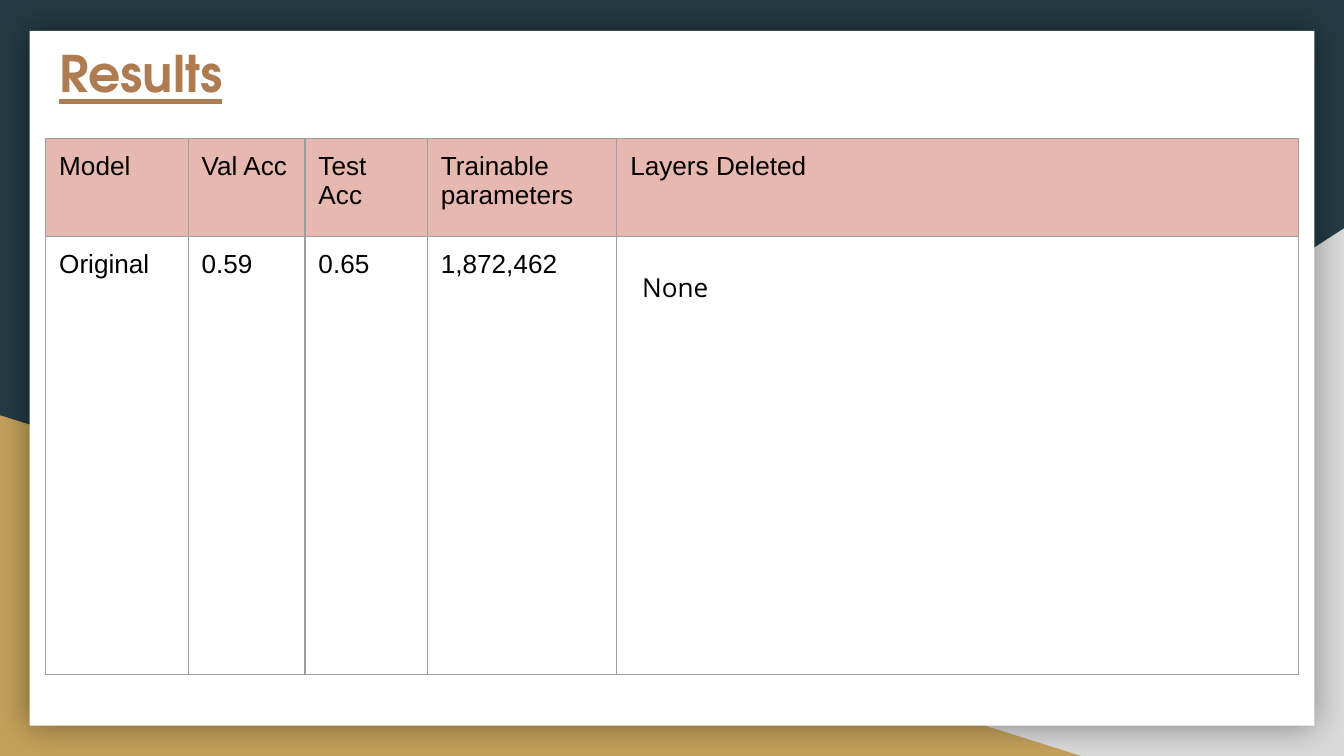
from lxml.etree import SubElement
from pptx import Presentation
from pptx.dml.color import RGBColor
from pptx.enum.shapes import MSO_SHAPE as Shape
from pptx.enum.text import MSO_ANCHOR as Anchor, MSO_AUTO_SIZE as AutoSize, PP_ALIGN as Align
from pptx.oxml.ns import qn
from pptx.util import Inches, Pt

WIDTH = 10
HEIGHT = WIDTH * 9 / 16
NAVY = RGBColor(0x23, 0x3A, 0x44)
GREY = RGBColor(0xD9, 0xD9, 0xD9)
GOLD = RGBColor(0xC4, 0xA1, 0x5A)
WHITE = RGBColor(0xFF, 0xFF, 0xFF)
BLACK = RGBColor(0, 0, 0)
BROWN = RGBColor(0xAF, 0x7B, 0x51)
PINK = RGBColor(0xE6, 0xB8, 0xAF)
BORDER = RGBColor(0x9E, 0x9E, 0x9E)

MARGIN = 0.34
INSET = Inches(0.1)
COLUMNS = [1.06, 0.87, 0.91, 1.41, 5.07]
ROWS = [0.73, 3.26]
RESULTS = [
    ["Model", "Val Acc", "Test Acc", "Trainable parameters", "Layers Deleted"],
    ["Original", "0.59", "0.65", "1,872,462", ""],
]


def add_panel(slide, kind, left, top, width, height, color):
    shape = slide.shapes.add_shape(
        kind, Inches(left), Inches(top), Inches(width), Inches(height))
    shape.shadow.inherit = False
    shape.fill.solid()
    shape.fill.fore_color.rgb = color
    shape.line.fill.background()
    return shape


def add_glow_shadow(shape, blur, opacity):
    effects = shape._element.spPr.find(qn("a:effectLst"))
    shadow = SubElement(effects, qn("a:outerShdw"), blurRad=str(Pt(blur)),
                        dist="0", dir="0", algn="ctr", rotWithShape="0")
    color = SubElement(shadow, qn("a:srgbClr"), val=str(BLACK))
    SubElement(color, qn("a:alpha"), val=str(opacity * 1000))


def format_frame(frame):
    frame.margin_left = frame.margin_right = INSET
    frame.margin_top = frame.margin_bottom = INSET
    frame.vertical_anchor = Anchor.TOP
    frame.word_wrap = True


def format_font(paragraph, name, size, color):
    paragraph.alignment = Align.LEFT
    paragraph.font.name = name
    paragraph.font.size = Pt(size)
    paragraph.font.color.rgb = color


def add_backdrop(slide):
    slide.background.fill.solid()
    slide.background.fill.fore_color.rgb = NAVY
    corner = add_panel(slide, Shape.RIGHT_TRIANGLE, 3.92, 1.7, 6.08, 3.93, GREY)
    corner._element.spPr.xfrm.set("flipH", "1")
    add_panel(slide, Shape.RIGHT_TRIANGLE, 0, 3.09, 8.06, 2.54, GOLD)
    card = add_panel(slide, Shape.RECTANGLE, 0.22, 0.23, 9.56, 5.17, WHITE)
    add_glow_shadow(card, blur=18, opacity=40)


def place_title(slide, text):
    title = slide.shapes.title
    title.left, title.top = Inches(MARGIN), Inches(0.21)
    title.width, title.height = Inches(WIDTH - 2 * MARGIN), Inches(0.53)
    frame = title.text_frame
    frame.text = text
    format_frame(frame)
    frame.auto_size = AutoSize.NONE
    paragraph = frame.paragraphs[0]
    format_font(paragraph, "TeX Gyre Adventor", 27, BROWN)
    paragraph.font.bold = paragraph.font.underline = True
    # Bring the title in front of the backdrop
    slide.shapes._spTree.append(title._element)


def add_borders(cell):
    properties = cell._tc.get_or_add_tcPr()
    for side in ("lnL", "lnR", "lnT", "lnB"):
        line = SubElement(properties, qn(f"a:{side}"), w=str(Pt(0.75)))
        fill = SubElement(line, qn("a:solidFill"))
        SubElement(fill, qn("a:srgbClr"), val=str(BORDER))


def format_cell(cell, text, is_header):
    cell.text = text
    cell.margin_left = cell.margin_right = INSET
    cell.margin_top = cell.margin_bottom = INSET
    cell.vertical_anchor = Anchor.TOP
    format_font(cell.text_frame.paragraphs[0], "Arial", 14, BLACK)
    add_borders(cell)
    if is_header:
        cell.fill.solid()
        cell.fill.fore_color.rgb = PINK
    else:
        cell.fill.background()


def add_results_table(slide):
    table = slide.shapes.add_table(
        len(ROWS), len(COLUMNS), Inches(MARGIN), Inches(1.03),
        Inches(sum(COLUMNS)), Inches(sum(ROWS))).table
    table.first_row = table.horz_banding = False
    for column, width in zip(table.columns, COLUMNS):
        column.width = Inches(width)
    for index, (row, height, texts) in enumerate(zip(table.rows, ROWS, RESULTS)):
        row.height = Inches(height)
        for cell, text in zip(row.cells, texts):
            format_cell(cell, text, is_header=index == 0)


def add_label(slide, text, left, top, width, height):
    box = slide.shapes.add_textbox(
        Inches(left), Inches(top), Inches(width), Inches(height))
    frame = box.text_frame
    frame.text = text
    format_frame(frame)
    frame.auto_size = AutoSize.SHAPE_TO_FIT_TEXT
    format_font(frame.paragraphs[0], "Open Sans", 14, BLACK)


def main():
    presentation = Presentation()
    presentation.slide_width = Inches(WIDTH)
    presentation.slide_height = Inches(HEIGHT)
    slide = presentation.slides.add_slide(presentation.slide_layouts[5])

    add_backdrop(slide)
    place_title(slide, "Results")
    add_results_table(slide)
    # Layers deleted for the original model
    add_label(slide, "None", 4.68, 1.92, 2.17, 0.44)

    presentation.save("out.pptx")


if __name__ == "__main__":
    main()
